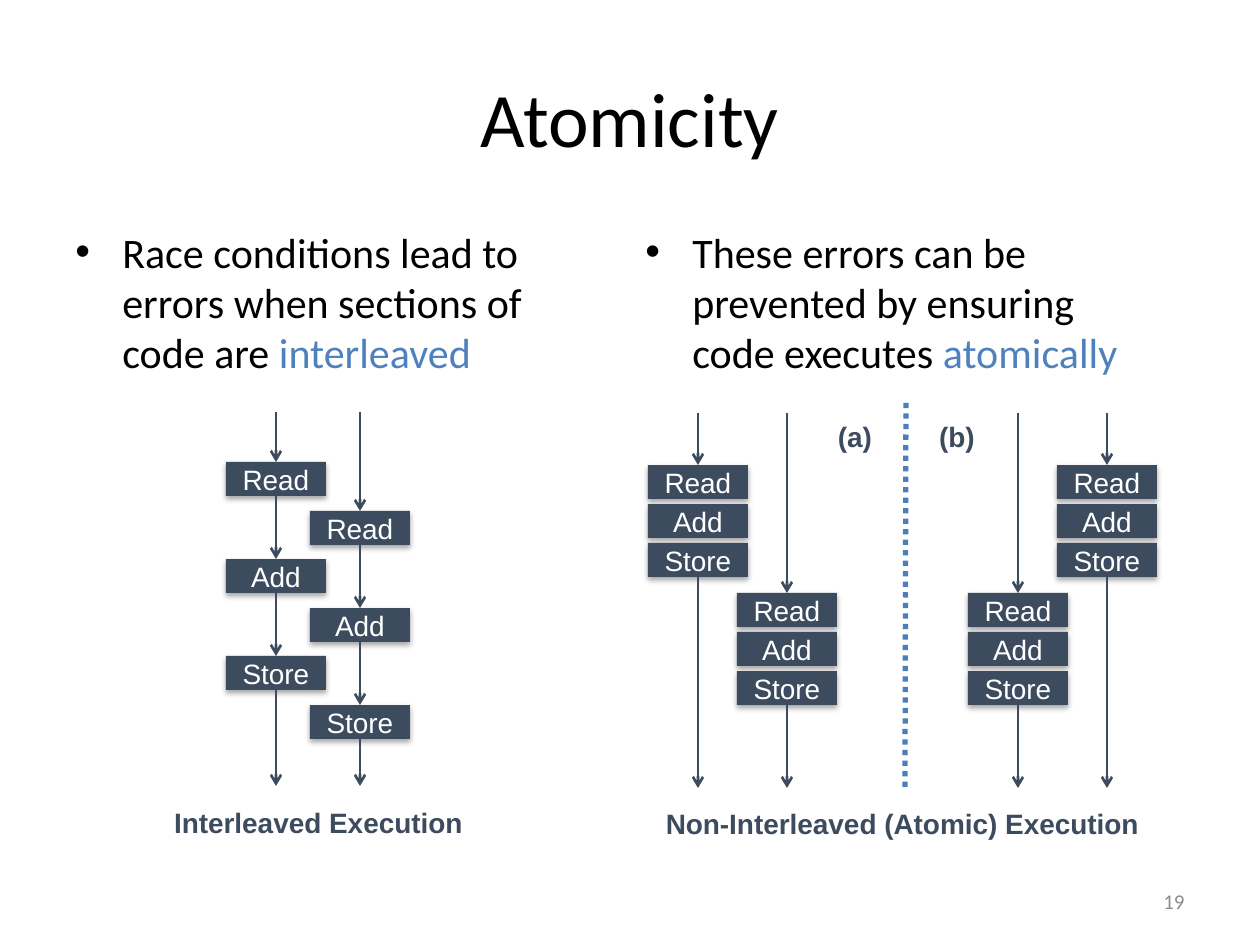
"""Build the slide on atomicity of concurrent code."""
from dataclasses import dataclass

import lxml.etree
import pptx
import pptx.dml.color
import pptx.enum.dml
import pptx.enum.shapes
import pptx.enum.text
import pptx.oxml
import pptx.oxml.ns
import pptx.util

EMU_PER_PX = 914400 / 126
ALIGN = pptx.enum.text.PP_ALIGN
ANCHOR = pptx.enum.text.MSO_ANCHOR


@dataclass(frozen=True)
class Theme:
    ink: str = "000000"
    slate: str = "3C4B5E"
    accent: str = "4F81BD"
    divider: str = "4B7EBC"
    white: str = "FFFFFF"
    muted: str = "8C8C8C"
    heading_font: str = "Calibri"
    diagram_font: str = "Arial"
    title_size: int = 44
    body_size: int = 24
    label_size: int = 16
    number_size: int = 12


def px(length):
    return pptx.util.Emu(round(length * EMU_PER_PX))


def rgb(color):
    return pptx.dml.color.RGBColor.from_string(color)


def add_xml(parent, tag, **attributes):
    return lxml.etree.SubElement(parent, pptx.oxml.ns.qn(tag), attributes)


def write_text(shape, text, *, size, font, color, align=ALIGN.LEFT, anchor=ANCHOR.TOP,
               bold=False, wrap=True, margin=None, bullet_indent=0,
               accent_text="", accent_color=None):
    frame = shape.text_frame
    frame.word_wrap = wrap
    frame.vertical_anchor = anchor
    if margin is not None:
        frame.margin_left = frame.margin_right = px(margin)
        frame.margin_top = frame.margin_bottom = px(margin)
    paragraph = frame.paragraphs[0]
    paragraph.alignment = align
    if bullet_indent:
        properties = paragraph._p.get_or_add_pPr()
        properties.set("marL", str(px(bullet_indent)))
        properties.set("indent", str(px(-bullet_indent)))
        add_xml(properties, "a:buFont", typeface="Arial")
        add_xml(properties, "a:buChar", char="•")
    for content, run_color in ((text, color), (accent_text, accent_color)):
        if content:
            run = paragraph.add_run()
            run.text = content
            run.font.size = pptx.util.Pt(size)
            run.font.name = font
            run.font.bold = bold
            run.font.color.rgb = rgb(run_color)


class SlideBuilder:
    """Hold the theme and the current slide, and add each kind of element."""

    BOX_WIDTH, BOX_HEIGHT = 100, 34

    def __init__(self, slide, theme):
        self.slide = slide
        self.theme = theme

    def title(self, text, left, top, width, height):
        shape = self.slide.shapes.title
        shape.left, shape.top, shape.width, shape.height = map(px, (left, top, width, height))
        write_text(shape, text, size=self.theme.title_size, font=self.theme.heading_font,
                   color=self.theme.ink, align=ALIGN.CENTER, anchor=ANCHOR.MIDDLE)

    def text_box(self, text, left, top, width, height, **text_format):
        shape = self.slide.shapes.add_textbox(*map(px, (left, top, width, height)))
        write_text(shape, text, **text_format)

    def bullet(self, text, accent_text, left):
        self.text_box(text, left, 220, 543, 192, size=self.theme.body_size,
                      font=self.theme.heading_font, color=self.theme.ink, bullet_indent=47,
                      accent_text=accent_text, accent_color=self.theme.accent)

    def label(self, text, left, top, width):
        self.text_box(text, left, top, width, 47, size=self.theme.label_size,
                      font=self.theme.diagram_font, color=self.theme.slate,
                      align=ALIGN.CENTER, bold=True, wrap=False)

    def page_number(self, text):
        self.text_box(text, 903, 876, 294, 50, size=self.theme.number_size,
                      font=self.theme.heading_font, color=self.theme.muted,
                      align=ALIGN.RIGHT, anchor=ANCHOR.MIDDLE)

    def line(self, start, end, color, width):
        connector = self.slide.shapes.add_connector(
            pptx.enum.shapes.MSO_CONNECTOR.STRAIGHT, *map(px, (*start, *end)))
        connector.line.color.rgb = rgb(color)
        connector.line.width = pptx.util.Pt(width)
        add_xml(connector._element.spPr, "a:effectLst")
        return connector.line

    def arrow(self, center, top, bottom):
        line = self.line((center, top), (center, bottom), self.theme.slate, 1.5)
        add_xml(line._ln, "a:tailEnd", type="arrow")

    def divider(self, start, end):
        line = self.line(start, end, self.theme.divider, 3)
        line.dash_style = pptx.enum.dml.MSO_LINE.ROUND_DOT

    def operation(self, text, center, top):
        shape = self.slide.shapes.add_shape(
            pptx.enum.shapes.MSO_SHAPE.RECTANGLE, px(center - self.BOX_WIDTH // 2), px(top),
            px(self.BOX_WIDTH), px(self.BOX_HEIGHT))
        shape.fill.solid()
        shape.fill.fore_color.rgb = rgb(self.theme.slate)
        shape.line.fill.background()
        shape.shadow.inherit = False
        effects = shape._element.spPr.find(pptx.oxml.ns.qn("a:effectLst"))
        shadow = add_xml(effects, "a:outerShdw", blurRad="40000", dist="23000",
                         dir="5400000", rotWithShape="0")
        shadow_color = add_xml(shadow, "a:srgbClr", val=self.theme.ink)
        add_xml(shadow_color, "a:alpha", val="35000")
        write_text(shape, text, size=self.theme.label_size, font=self.theme.diagram_font,
                   color=self.theme.white, align=ALIGN.CENTER, anchor=ANCHOR.MIDDLE, margin=0)

    def thread(self, center, start, first_top, step, end):
        """Draw one thread's operations, with arrows wherever there is room."""
        arrow_top = start
        for index, name in enumerate(("Read", "Add", "Store")):
            top = first_top + index * step
            if top - arrow_top > 10:
                self.arrow(center, arrow_top, top)
            self.operation(name, center, top)
            arrow_top = top + self.BOX_HEIGHT
        self.arrow(center, arrow_top, end)


def main():
    presentation = pptx.Presentation()
    presentation.slide_width = px(1260)
    presentation.slide_height = px(945)
    slide = presentation.slides.add_slide(presentation.slide_layouts[5])
    builder = SlideBuilder(slide, Theme())

    builder.title("Atomicity", 63, 38, 1134, 158)
    builder.bullet("Race conditions lead to errors when sections of code are ",
                   "interleaved", 63)
    builder.bullet("These errors can be prevented by ensuring code executes ",
                   "atomically", 633)

    for center, first_top in ((276, 462), (360, 511)):
        builder.thread(center, 412, first_top, 97, 786)
    for center, first_top in ((698, 465), (787, 593), (1018, 593), (1107, 465)):
        builder.thread(center, 413, first_top, 39, 788)

    builder.divider((906, 403), (905, 788))
    builder.label("(a)", 825, 413, 60)
    builder.label("(b)", 926, 413, 62)
    builder.label("Interleaved Execution", 160, 799, 317)
    builder.label("Non-Interleaved (Atomic) Execution", 650, 800, 505)
    builder.page_number("19")
    presentation.save("out.pptx")


if __name__ == "__main__":
    main()
